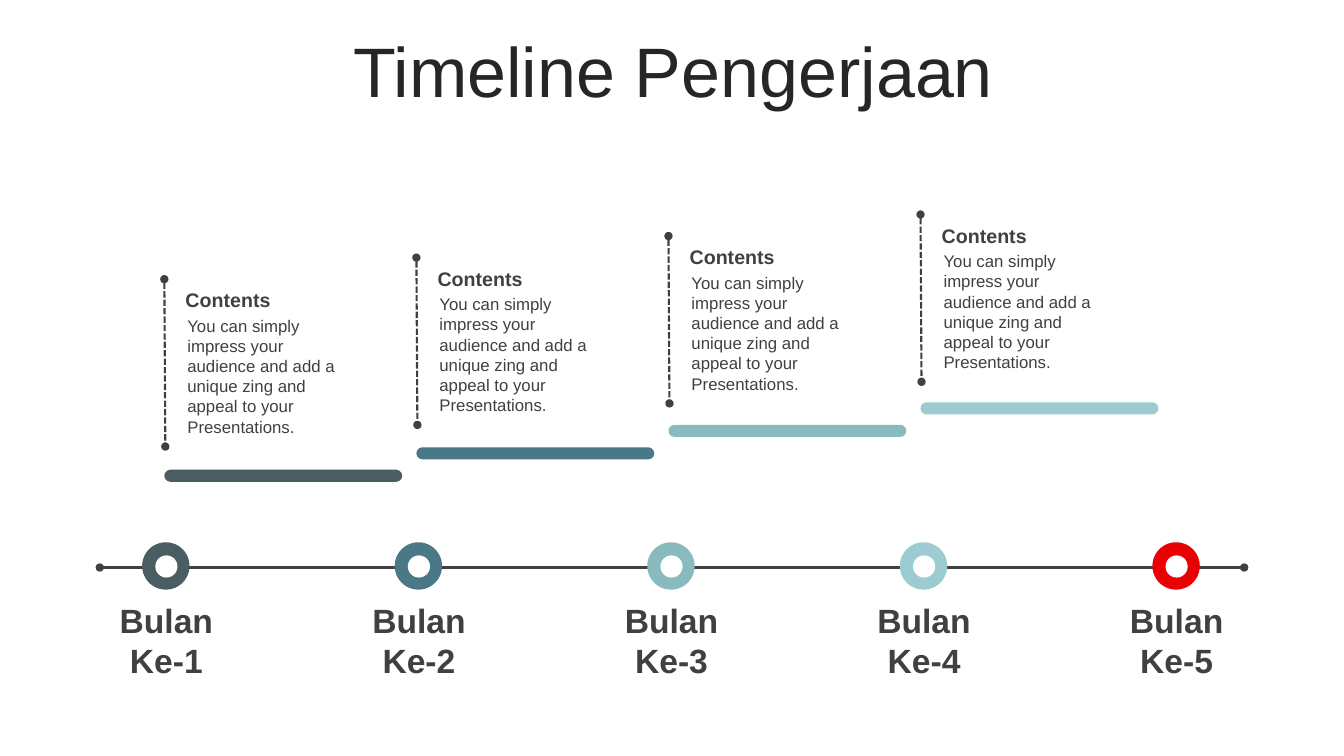
"""Build the work timeline slide with five months and four rising notes."""
from dataclasses import dataclass

from pptx import Presentation
from pptx import util as u
from pptx.dml.color import RGBColor
from pptx.enum import dml, shapes, text
from pptx.oxml.ns import qn
from lxml import etree

INK = RGBColor(0x40, 0x40, 0x40)
DARK = RGBColor(0x26, 0x26, 0x26)
WHITE = RGBColor(0xFF, 0xFF, 0xFF)
SLATE = RGBColor(0x4A, 0x5D, 0x62)
STEEL = RGBColor(0x4A, 0x78, 0x86)
TEAL = RGBColor(0x88, 0xBA, 0xBE)
AQUA = RGBColor(0x9C, 0xCC, 0xD2)
RED = RGBColor(0xEA, 0x00, 0x00)
FONT = "Arial"
NOTE = ("You can simply impress your audience and add a unique zing "
        "and appeal to your Presentations.")
ALIGN = text.PP_ALIGN


@dataclass(frozen=True)
class Box:
    left: float
    top: float
    width: float
    height: float

    def size(self) -> tuple:
        return tuple(u.Inches(n) for n in
                     (self.left, self.top, self.width, self.height))


@dataclass(frozen=True)
class Month:
    label: str
    color: RGBColor
    left: float


@dataclass(frozen=True)
class Step:
    color: RGBColor
    left: float
    bar: float
    note: float
    stem: float


MONTHS = [Month(f"Bulan Ke-{i + 1}", color, 1.05 + 2.505 * i)
          for i, color in enumerate((SLATE, STEEL, TEAL, AQUA, RED))]
STEPS = [Step(color, 1.63 + 2.5 * i, 4.66 - 0.223 * i,
              2.81 - 0.213 * i, 2.77 - 0.214 * i)
         for i, color in enumerate((SLATE, STEEL, TEAL, AQUA))]


def add_run(para, words: str, size: float, color: RGBColor,
            bold: bool = False) -> None:
    run = para.add_run()
    run.text = words
    run.font.name = FONT
    run.font.size = u.Pt(size)
    run.font.bold = bold
    run.font.color.rgb = color


def add_text(owner, box: Box, words: str, size: float, bold: bool = False,
             align=ALIGN.LEFT, inset: tuple = (0.1, 0.05)) -> None:
    frame = owner.add_textbox(*box.size()).text_frame
    frame.word_wrap = True
    frame.auto_size = text.MSO_AUTO_SIZE.SHAPE_TO_FIT_TEXT
    frame.margin_left = frame.margin_right = u.Inches(inset[0])
    frame.margin_top = frame.margin_bottom = u.Inches(inset[1])
    para = frame.paragraphs[0]
    para.alignment = align
    add_run(para, words, size, INK, bold)


def add_form(owner, kind, box: Box, color: RGBColor):
    form = owner.add_shape(kind, *box.size())
    form.shadow.inherit = False
    form.fill.solid()
    form.fill.fore_color.rgb = color
    form.line.fill.background()
    return form


def add_line(owner, start: tuple, end: tuple, width: float,
             dash=None) -> None:
    ends = [u.Inches(n) for n in (*start, *end)]
    link = owner.add_connector(shapes.MSO_CONNECTOR.STRAIGHT, *ends)
    link.line.color.rgb = INK
    link.line.width = u.Pt(width)
    if dash is not None:
        link.line.dash_style = dash
    props = link._element.spPr
    stroke = props.find(qn("a:ln"))
    for tag in ("a:headEnd", "a:tailEnd"):
        etree.SubElement(stroke, qn(tag), type="oval")
    etree.SubElement(props, qn("a:effectLst"))


def add_title(slide) -> None:
    title = slide.shapes.title
    title.left, title.top, title.width, title.height = Box(
        0.35, 0.37, 12.66, 0.79).size()
    frame = title.text_frame
    frame.word_wrap = True
    frame.auto_size = text.MSO_AUTO_SIZE.NONE
    frame.vertical_anchor = text.MSO_ANCHOR.MIDDLE
    para = frame.paragraphs[0]
    para.alignment = ALIGN.CENTER
    para.line_spacing = 0.8
    add_run(para, "Timeline Pengerjaan", 50, DARK)


def add_month(owner, month: Month) -> None:
    oval = shapes.MSO_SHAPE.OVAL
    add_form(owner, oval, Box(month.left + 0.36, 5.38, 0.47, 0.47),
             month.color)
    add_text(owner, Box(month.left, 5.95, 1.2, 0.81), month.label, 24,
             True, ALIGN.CENTER, (0, 0))
    add_form(owner, oval, Box(month.left + 0.49, 5.51, 0.22, 0.22), WHITE)


def add_step(owner, step: Step) -> None:
    bar = add_form(owner, shapes.MSO_SHAPE.ROUNDED_RECTANGLE,
                   Box(step.left, step.bar, 2.36, 0.12), step.color)
    bar.adjustments[0] = 0.5
    group = owner.add_group_shape().shapes
    add_text(group, Box(step.left + 0.13, step.note + 0.27, 1.72, 1.31),
             NOTE, 12)
    add_text(group, Box(step.left + 0.09, step.note, 1.73, 0.34),
             "Contents", 14, True, inset=(0.12, 0.05))
    add_line(owner, (step.left, step.stem),
             (step.left + 0.01, step.stem + 1.66), 1.5,
             dml.MSO_LINE.SQUARE_DOT)


def main() -> None:
    deck = Presentation()
    deck.slide_width = u.Inches(13.33)
    deck.slide_height = u.Inches(7.5)
    slide = deck.slides.add_slide(deck.slide_layouts.get_by_name("Title Only"))
    add_title(slide)
    add_line(slide.shapes, (0.99, 5.63), (12.34, 5.63), 1.75)
    for month in MONTHS:
        add_month(slide.shapes, month)
    for step in STEPS:
        add_step(slide.shapes, step)
    deck.save("out.pptx")


if __name__ == "__main__":
    main()
